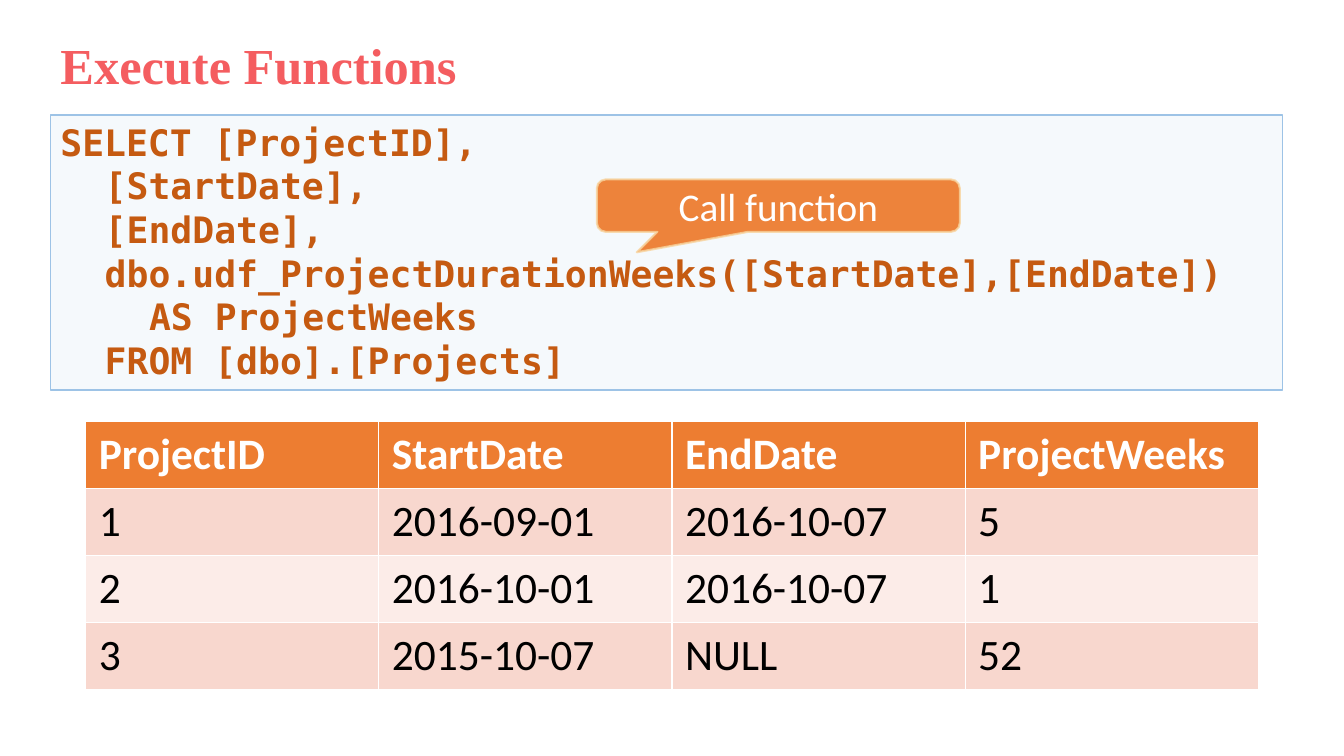
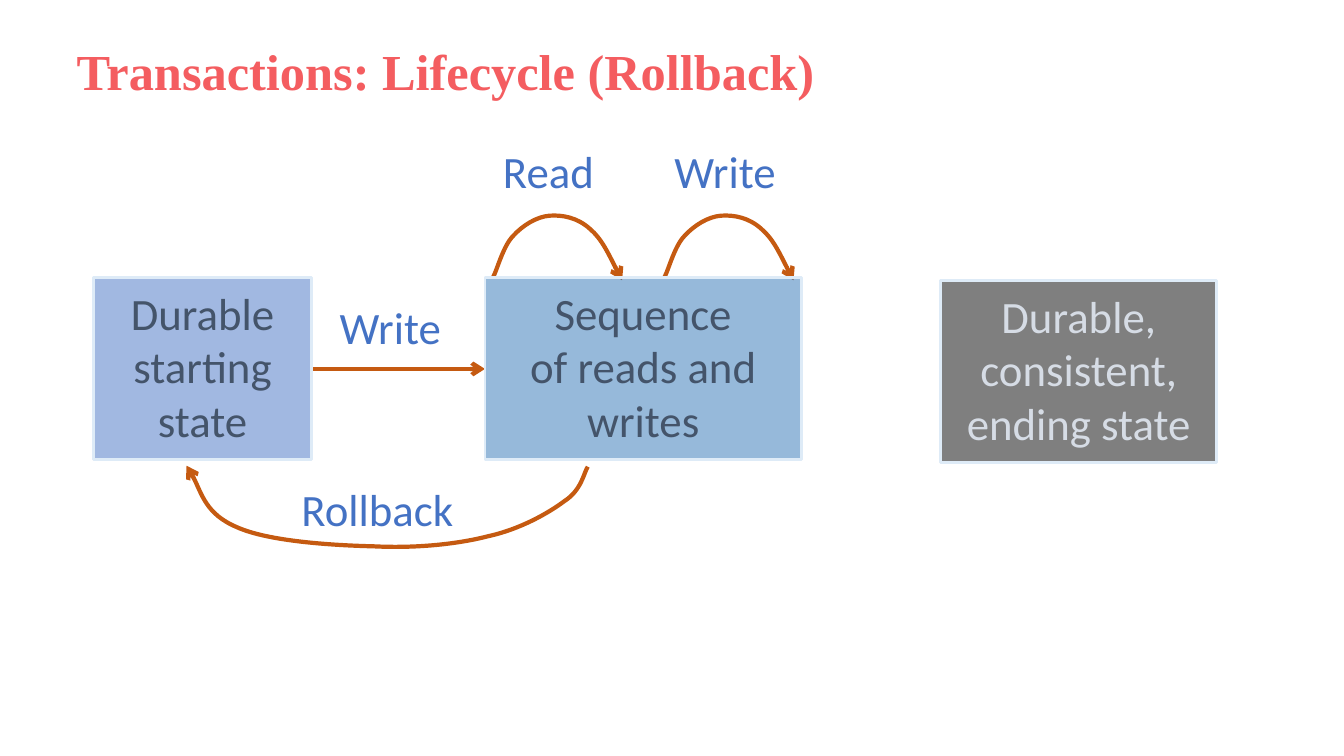
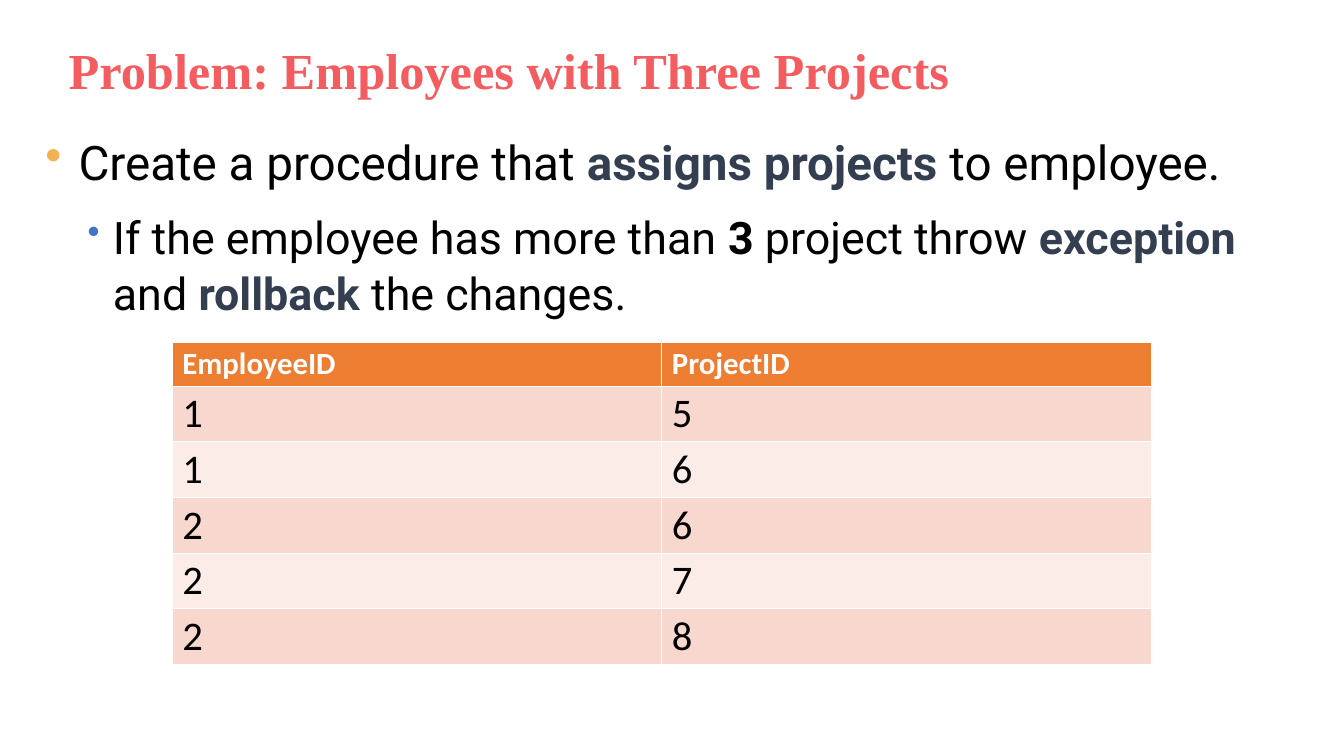
from dataclasses import dataclass
from typing import Any, NamedTuple, Optional, Sequence

from lxml import etree
from pptx import Presentation
from pptx import util as u
from pptx.dml.color import RGBColor
from pptx.enum import shapes, text
from pptx.oxml.ns import qn

PX = 9144
SLIDE_SIZE = (1333, 750)


@dataclass(frozen=True)
class Theme:
    title_font: str = "Times New Roman"
    code_font: str = "DejaVu Sans Mono"
    label_font: str = "Calibri"
    body_font: str = "Roboto"
    title_pt: int = 36
    code_pt: int = 26
    callout_pt: int = 28
    label_pt: int = 32
    body_pt: int = 34
    coral: str = "F45D60"
    rust: str = "C55A11"
    orange: str = "ED7D31"
    sand: str = "F8D49E"
    amber: str = "F2B254"
    blue: str = "4472C4"
    deep_blue: str = "2E75B6"
    sky: str = "BDD7EE"
    sky_edge: str = "9DC3E6"
    pale_edge: str = "DEEBF7"
    slate: str = "44546A"
    dark_slate: str = "333F50"
    mist: str = "D6DCE5"
    black: str = "000000"
    white: str = "FFFFFF"
    bands: tuple[str, str] = ("F8D7CE", "FCECE8")


THEME = Theme()


class Box(NamedTuple):
    left: int
    top: int
    width: int
    height: int

    def emu(self) -> list[int]:
        return [side * PX for side in self]


class Style(NamedTuple):
    font: str
    size: int
    color: str
    bold: bool = False


class Paint(NamedTuple):
    color: str
    opacity: int = 100


class Edge(NamedTuple):
    paint: Paint
    points: float


class Span(NamedTuple):
    words: str
    style: Style


class Bullet(NamedTuple):
    color: str
    percent: int


@dataclass(frozen=True)
class Para:
    spans: Sequence[Span]
    indent: int = 0
    hanging: int = 0
    level: int = 0
    bullet: Optional[Bullet] = None
    format: Optional[dict[str, Any]] = None


@dataclass(frozen=True)
class Panel:
    box: Box
    paras: Sequence[Para]
    fill: Paint
    edge: Edge
    preset: shapes.MSO_SHAPE = shapes.MSO_SHAPE.RECTANGLE
    anchor: text.MSO_ANCHOR = text.MSO_ANCHOR.TOP
    adjustments: Sequence[float] = ()
    insets: tuple[int, int, int, int] = (10, 5, 10, 5)


@dataclass(frozen=True)
class Grid:
    box: Box
    rows: Sequence[Sequence[str]]
    header_height: int
    header_pt: int
    body_pt: int
    insets: tuple[int, int]


LABEL = Style(THEME.label_font, THEME.label_pt, THEME.blue)
CENTERED = {"alignment": text.PP_ALIGN.CENTER}


def assign(target: Any, values: dict[str, Any]) -> None:
    for name, value in values.items():
        setattr(target, name, value)


def add_xml(parent: Any, tag: str, **attributes: str) -> Any:
    return etree.SubElement(parent, qn(tag), attributes)


def apply_paint(fill: Any, paint: Paint) -> None:
    fill.solid()
    fill.fore_color.rgb = RGBColor.from_string(paint.color)
    if paint.opacity < 100:
        color = fill._xPr.find(qn("a:solidFill"))[0]
        add_xml(color, "a:alpha", val=str(paint.opacity * 1000))


def apply_edge(line: Any, edge: Edge) -> None:
    apply_paint(line.fill, edge.paint)
    line.width = u.Pt(edge.points)


def write(frame: Any, paras: Sequence[Para]) -> None:
    for index, para in enumerate(paras):
        paragraph = frame.paragraphs[0] if index == 0 else frame.add_paragraph()
        assign(paragraph, {"level": para.level,
                           "alignment": text.PP_ALIGN.LEFT,
                           **(para.format or {})})
        props = paragraph._p.get_or_add_pPr()
        props.set("marL", str(para.indent * PX))
        props.set("indent", str(-para.hanging * PX))
        if para.bullet:
            color = add_xml(props, "a:buClr")
            add_xml(color, "a:srgbClr", val=para.bullet.color)
            add_xml(props, "a:buSzPct", val=str(para.bullet.percent * 1000))
            add_xml(props, "a:buChar", char="•")
        for words, style in para.spans:
            if words == "\v":
                paragraph.add_line_break()
                continue
            run = paragraph.add_run()
            run.text = words
            assign(run.font, {"name": style.font, "size": u.Pt(style.size),
                              "bold": style.bold})
            run.font.color.rgb = RGBColor.from_string(style.color)


def set_frame(frame: Any, insets: Sequence[int], **values: Any) -> None:
    sides = ("margin_left", "margin_top", "margin_right", "margin_bottom")
    assign(frame, {side: inset * PX for side, inset in zip(sides, insets)})
    assign(frame, {"word_wrap": True, "auto_size": text.MSO_AUTO_SIZE.NONE,
                   **values})


def add_titled_slide(deck: Any, words: str, box: Box) -> Any:
    slide = deck.slides.add_slide(deck.slide_layouts[5])
    title = slide.shapes.title
    assign(title, dict(zip(("left", "top", "width", "height"), box.emu())))
    set_frame(title.text_frame, (10, 5, 10, 5),
              vertical_anchor=text.MSO_ANCHOR.MIDDLE)
    style = Style(THEME.title_font, THEME.title_pt, THEME.coral, True)
    write(title.text_frame, [Para([Span(words, style)],
                                  format={"line_spacing": 0.9})])
    return slide


def add_panel(slide: Any, panel: Panel) -> None:
    shape = slide.shapes.add_shape(panel.preset, *panel.box.emu())
    shape.shadow.inherit = False
    for index, value in enumerate(panel.adjustments):
        shape.adjustments[index] = value
    apply_paint(shape.fill, panel.fill)
    apply_edge(shape.line, panel.edge)
    set_frame(shape.text_frame, panel.insets, vertical_anchor=panel.anchor)
    write(shape.text_frame, panel.paras)


def add_label(slide: Any, words: str, box: Box) -> None:
    frame = slide.shapes.add_textbox(*box.emu()).text_frame
    set_frame(frame, (10, 5, 10, 5), word_wrap=False,
              auto_size=text.MSO_AUTO_SIZE.SHAPE_TO_FIT_TEXT)
    write(frame, [Para([Span(words, LABEL)])])


def style_arrow(arrow: Any) -> None:
    apply_edge(arrow.line, Edge(Paint(THEME.rust), 3))
    props = arrow._element.spPr
    add_xml(props.get_or_add_ln(), "a:tailEnd", type="arrow")
    if props.find(qn("a:effectLst")) is None:
        add_xml(props, "a:effectLst")


def add_straight_arrow(slide: Any, start: tuple[int, int],
                       end: tuple[int, int]) -> None:
    ends = [value * PX for value in (*start, *end)]
    style_arrow(slide.shapes.add_connector(shapes.MSO_CONNECTOR.STRAIGHT, *ends))


def add_curved_arrow(slide: Any, start: tuple[int, int],
                     controls: Sequence[tuple[int, int]]) -> None:
    builder = slide.shapes.build_freeform(*start, scale=PX)
    builder.add_line_segments(controls, close=False)
    arrow = builder.convert_to_shape()
    arrow.fill.background()
    segments = list(arrow._element.iter(qn("a:lnTo")))
    outline = segments[0].getparent()
    for first in range(0, len(segments), 3):
        curve = add_xml(outline, "a:cubicBezTo")
        for segment in segments[first:first + 3]:
            curve.append(segment[0])
            outline.remove(segment)
    style_arrow(arrow)


def add_grid(slide: Any, grid: Grid) -> None:
    row_count, column_count = len(grid.rows), len(grid.rows[0])
    table = slide.shapes.add_table(row_count, column_count, *grid.box.emu()).table
    body_height = (grid.box.height - grid.header_height) * PX // (row_count - 1)
    for column in table.columns:
        column.width = grid.box.width * PX // column_count
    header = Style(THEME.label_font, grid.header_pt, THEME.white, True)
    body = Style(THEME.label_font, grid.body_pt, THEME.black)
    for row, values in enumerate(grid.rows):
        table.rows[row].height = body_height if row else grid.header_height * PX
        for column, value in enumerate(values):
            cell = table.cell(row, column)
            color = THEME.bands[(row - 1) % 2] if row else THEME.orange
            apply_paint(cell.fill, Paint(color))
            across, down = (inset * PX for inset in grid.insets)
            assign(cell, {"margin_left": across, "margin_right": across,
                          "margin_top": down, "margin_bottom": down})
            write(cell.text_frame, [Para([Span(value, body if row else header)])])


def build_functions(deck: Any) -> None:
    slide = add_titled_slide(deck, "Execute Functions", Box(50, 28, 1150, 79))
    code = Style(THEME.code_font, THEME.code_pt, THEME.rust, True)
    step = 44
    query = [(0, "SELECT [ProjectID],"),
             (1, "[StartDate],"),
             (1, "[EndDate],"),
             (1, "dbo.udf_ProjectDurationWeeks([StartDate],[EndDate])"),
             (2, "AS ProjectWeeks"),
             (1, "FROM [dbo].[Projects]")]
    add_panel(slide, Panel(
        Box(50, 114, 1222, 273),
        [Para([Span(line, code)], indent=depth * step) for depth, line in query],
        Paint(THEME.sky, 15), Edge(Paint(THEME.sky_edge), 1)))
    add_grid(slide, Grid(
        Box(85, 418, 1163, 262),
        [("ProjectID", "StartDate", "EndDate", "ProjectWeeks"),
         ("1", "2016-09-01", "2016-10-07", "5"),
         ("2", "2016-10-01", "2016-10-07", "1"),
         ("3", "2015-10-07", "NULL", "52")],
        header_height=65, header_pt=31, body_pt=31, insets=(13, 7)))
    callout = Style(THEME.label_font, THEME.callout_pt, THEME.white)
    add_panel(slide, Panel(
        Box(592, 178, 360, 52),
        [Para([Span("Call function", callout)], format=CENTERED)],
        Paint(THEME.orange, 95), Edge(Paint(THEME.sand, 80), 1.5),
        preset=shapes.MSO_SHAPE.ROUNDED_RECTANGULAR_CALLOUT,
        anchor=text.MSO_ANCHOR.MIDDLE, adjustments=(-0.39, 0.89, 0.17)))


def build_lifecycle(deck: Any) -> None:
    slide = add_titled_slide(deck, "Transactions: Lifecycle (Rollback)",
                             Box(66, 41, 1150, 65))
    add_straight_arrow(slide, (309, 366), (481, 366))
    loop = [(4, 268), (10, 244), (20, 234), (29, 224), (43, 215), (56, 214),
            (69, 213), (84, 216), (96, 227), (108, 237), (122, 267), (128, 278)]
    for left in (489, 659):
        add_curved_arrow(slide, (left, 275), [(left + x, y) for x, y in loop])
    add_curved_arrow(slide, (583, 463), [
        (579, 469), (577, 486), (560, 497), (544, 509), (516, 525), (484, 532),
        (453, 540), (412, 544), (371, 542), (329, 541), (266, 537), (235, 523),
        (204, 510), (195, 475), (185, 462)])
    for words, box in [("Read", Box(489, 138, 111, 64)),
                       ("Write", Box(659, 138, 122, 64)),
                       ("Write", Box(327, 292, 122, 64)),
                       ("Rollback", Box(289, 473, 172, 64))]:
        add_label(slide, words, box)
    states = [
        (Box(93, 275, 216, 181), THEME.blue, THEME.slate,
         [["Durable starting state"]]),
        (Box(481, 275, 314, 181), THEME.deep_blue, THEME.slate,
         [["Sequence", "\v", "of reads and writes"]]),
        (Box(933, 278, 274, 181), THEME.black, THEME.mist,
         [["Durable,"], ["consistent,"], ["ending state"]])]
    for box, fill, ink, lines in states:
        style = Style(THEME.label_font, THEME.label_pt, ink)
        add_panel(slide, Panel(
            box,
            [Para([Span(words, style) for words in line], format=CENTERED)
             for line in lines],
            Paint(fill, 50), Edge(Paint(THEME.pale_edge), 2),
            insets=(10, 8, 10, 12)))


def build_problem(deck: Any) -> None:
    slide = add_titled_slide(deck, "Problem: Employees with Three Projects",
                             Box(58, 35, 1150, 75))
    task = Style(THEME.body_font, THEME.body_pt, THEME.black)
    task_key = task._replace(color=THEME.dark_slate, bold=True)
    rule = task._replace(size=THEME.label_pt)
    rule_key = task_key._replace(size=THEME.label_pt)
    spacing = {"line_spacing": 1.05, "space_before": u.Pt(6),
               "space_after": u.Pt(6)}
    frame = slide.shapes.add_textbox(*Box(33, 125, 1246, 557).emu()).text_frame
    set_frame(frame, (12, 4, 12, 4))
    write(frame, [
        Para([Span("Create a procedure that ", task),
              Span("assigns projects", task_key),
              Span(" to employee.", task)],
             indent=33, hanging=33, bullet=Bullet(THEME.amber, 100),
             format=spacing),
        Para([Span("If the employee has more than ", rule),
              Span("3", rule._replace(bold=True)),
              Span(" project throw ", rule),
              Span("exception", rule_key),
              Span(" and ", rule),
              Span("rollback", rule_key),
              Span(" the changes.", rule)],
             indent=67, hanging=25, level=1, bullet=Bullet(THEME.blue, 80),
             format=spacing)])
    add_grid(slide, Grid(
        Box(171, 340, 971, 319),
        [("EmployeeID", "ProjectID"),
         ("1", "5"), ("1", "6"), ("2", "6"), ("2", "7"), ("2", "8")],
        header_height=43, header_pt=22, body_pt=29, insets=(10, 3)))


def main() -> None:
    deck = Presentation()
    deck.slide_width, deck.slide_height = (side * PX for side in SLIDE_SIZE)
    for build in (build_functions, build_lifecycle, build_problem):
        build(deck)
    deck.save("out.pptx")


if __name__ == "__main__":
    main()
